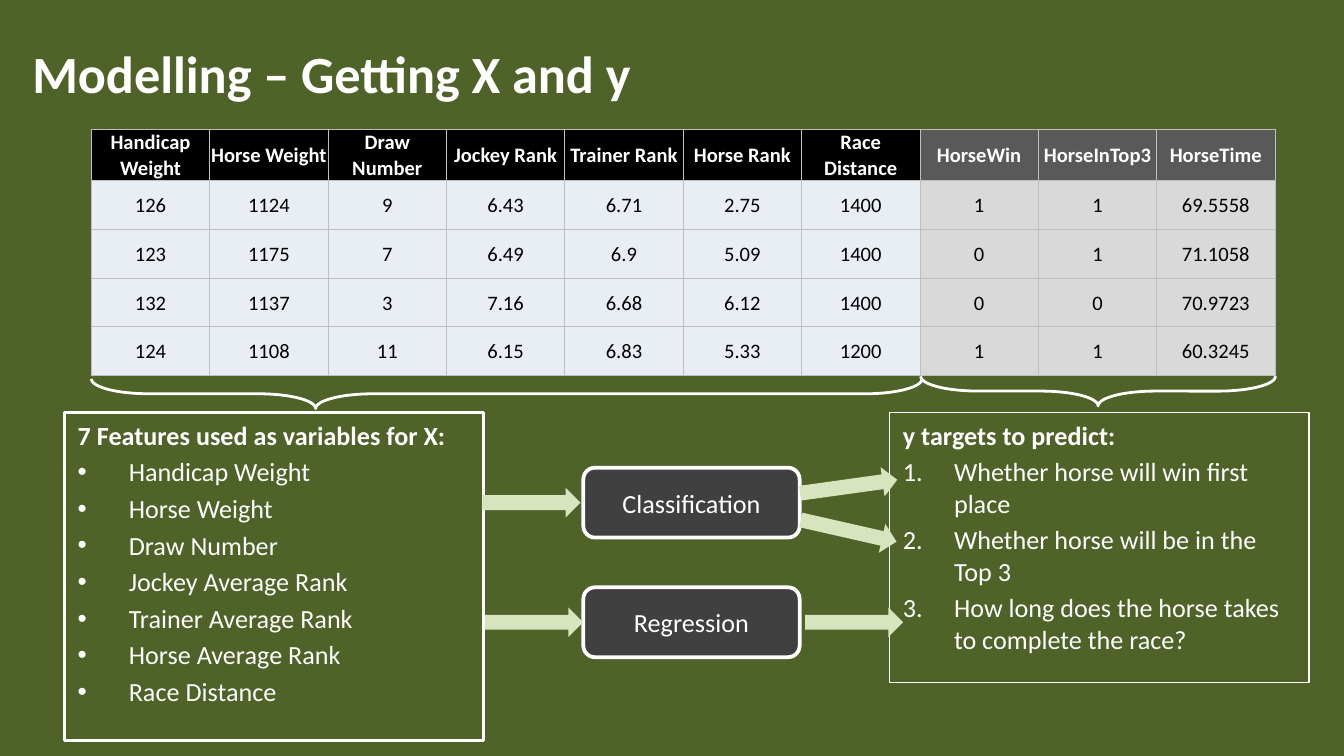
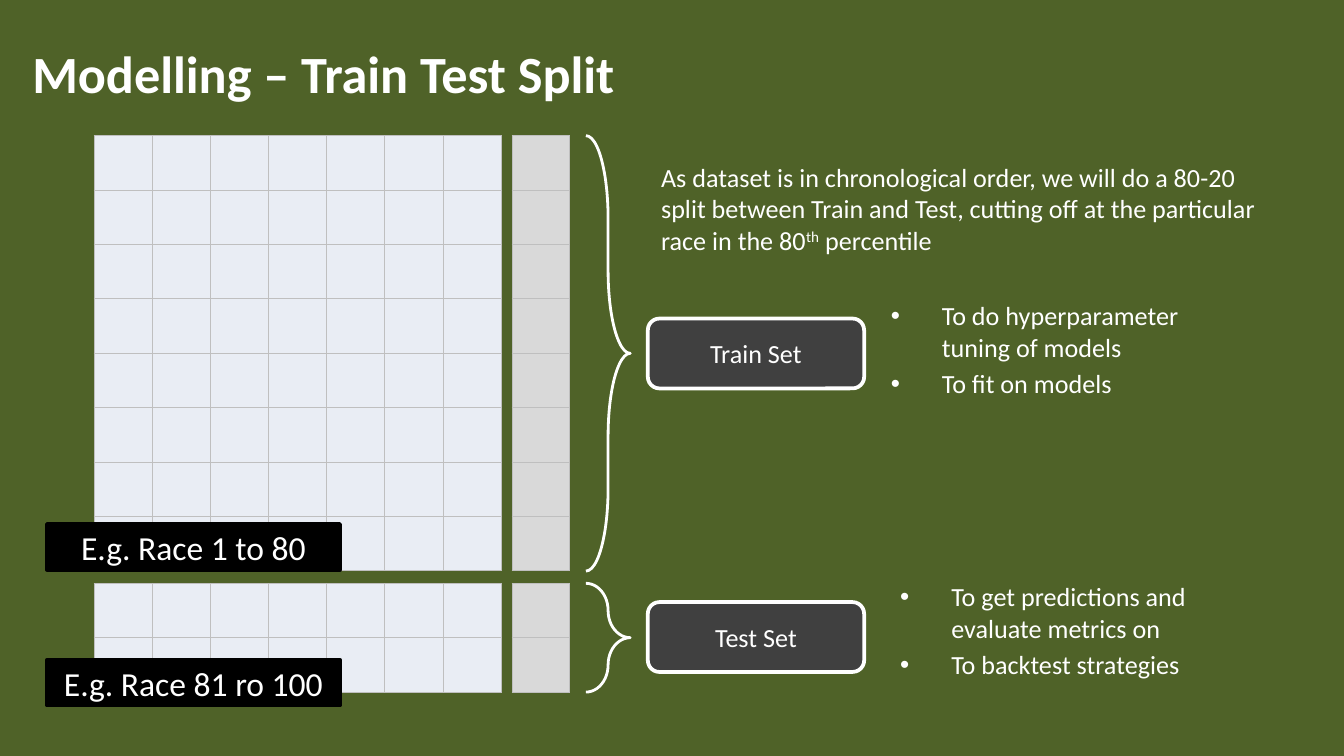
from lxml import etree
from pptx import Presentation
from pptx import util as u
from pptx.dml.color import RGBColor
from pptx.enum import shapes, text
from pptx.oxml import ns

EMU_PER_PX = 9144  # 100 px to the inch
FONT = "Calibri"
WHITE = RGBColor(0xFF, 0xFF, 0xFF)
BLACK = RGBColor(0x00, 0x00, 0x00)
GREEN = RGBColor(0x4F, 0x62, 0x28)
PALE_GREEN = RGBColor(0xD7, 0xE4, 0xBD)
CHARCOAL = RGBColor(0x40, 0x40, 0x40)
TARGET_HEAD = RGBColor(0x59, 0x59, 0x59)
FEATURE_FILL = RGBColor(0xE9, 0xED, 0xF4)
TARGET_FILL = RGBColor(0xD9, 0xD9, 0xD9)
BORDER = RGBColor(0xBF, 0xBF, 0xBF)

FEATURE_COUNT = 7
HEADINGS = ["Handicap Weight", "Horse Weight", "Draw Number", "Jockey Rank",
            "Trainer Rank", "Horse Rank", "Race Distance",
            "HorseWin", "HorseInTop3", "HorseTime"]
RACES = [
    ["126", "1124", "9", "6.43", "6.71", "2.75", "1400", "1", "1", "69.5558"],
    ["123", "1175", "7", "6.49", "6.9", "5.09", "1400", "0", "1", "71.1058"],
    ["132", "1137", "3", "7.16", "6.68", "6.12", "1400", "0", "0", "70.9723"],
    ["124", "1108", "11", "6.15", "6.83", "5.33", "1200", "1", "1", "60.3245"],
]
FEATURES = ["Handicap Weight", "Horse Weight", "Draw Number", "Jockey Average Rank",
            "Trainer Average Rank", "Horse Average Rank", "Race Distance"]
TARGETS = ["Whether horse will win first place",
           "Whether horse will be in the Top 3",
           "How long does the horse takes to complete the race?"]


def px(*lengths):
    return [u.Emu(length * EMU_PER_PX) for length in lengths]


def add_text(paragraph, content, size=14, color=WHITE, bold=False, baseline=None):
    run = paragraph.add_run()
    run.text = content
    run.font.name = FONT
    run.font.size = u.Pt(size)
    run.font.bold = bold
    run.font.color.rgb = color
    if baseline:
        run._r.get_or_add_rPr().set("baseline", str(baseline))


def set_bullet(paragraph, numbered):
    properties = paragraph._p.get_or_add_pPr()
    indent = px(38)[0]
    properties.set("marL", str(indent))
    properties.set("indent", str(-indent))
    font = etree.SubElement(properties, ns.qn("a:buFont"))
    font.set("typeface", FONT if numbered else "Arial")
    if numbered:
        etree.SubElement(properties, ns.qn("a:buAutoNum")).set("type", "arabicPeriod")
    else:
        etree.SubElement(properties, ns.qn("a:buChar")).set("char", "•")


def add_list(frame, items, heading=None, numbered=False):
    frame.word_wrap = True
    frame.vertical_anchor = text.MSO_ANCHOR.TOP
    lines = ([heading] if heading else []) + items
    for index, line in enumerate(lines):
        paragraph = frame.add_paragraph() if index else frame.paragraphs[0]
        paragraph.alignment = text.PP_ALIGN.LEFT
        if index:
            paragraph.space_before = u.Pt(2.8)
        is_heading = line is heading
        if not is_heading:
            set_bullet(paragraph, numbered)
        add_text(paragraph, line, bold=is_heading)


def add_shape(slide, kind, box, fill=None, line=None, width=1.5, rotation=0):
    shape = slide.shapes.add_shape(kind, *px(*box))
    shape.shadow.inherit = False
    shape.rotation = rotation
    if fill is None:
        shape.fill.background()
    else:
        shape.fill.solid()
        shape.fill.fore_color.rgb = fill
    if line is None:
        shape.line.fill.background()
    else:
        shape.line.color.rgb = line
        shape.line.width = u.Pt(width)
    return shape


def add_label(slide, kind, box, content, fill, line, size):
    shape = add_shape(slide, kind, box, fill, line, width=2)
    shape.text_frame.word_wrap = True
    shape.text_frame.vertical_anchor = text.MSO_ANCHOR.MIDDLE
    paragraph = shape.text_frame.paragraphs[0]
    paragraph.alignment = text.PP_ALIGN.CENTER
    add_text(paragraph, content, size=size)


def add_step(slide, left, top, content):
    add_label(slide, shapes.MSO_SHAPE.ROUNDED_RECTANGLE, (left, top, 161, 52),
              content, CHARCOAL, WHITE, 14)


def add_race_label(slide, top, content):
    add_label(slide, shapes.MSO_SHAPE.RECTANGLE, (35, top, 218, 34),
              content, BLACK, BLACK, 18)


def add_panel(slide, box, width, heading, items, numbered=False):
    panel = add_shape(slide, shapes.MSO_SHAPE.RECTANGLE, box, line=WHITE, width=width)
    add_list(panel.text_frame, items, heading, numbered)


def add_brace(slide, box, curve, tip=0.5, rotation=0):
    """Draw a right brace; box is its frame before rotation."""
    brace = add_shape(slide, shapes.MSO_SHAPE.RIGHT_BRACE, box,
                      line=WHITE, rotation=rotation)
    brace.adjustments[0] = curve
    brace.adjustments[1] = tip


def add_arrow(slide, left, top, rotation=0):
    add_shape(slide, shapes.MSO_SHAPE.RIGHT_ARROW, (left, top, 73, 22),
              fill=PALE_GREEN, rotation=rotation)


def style_cell(cell, fill):
    cell.fill.solid()
    cell.fill.fore_color.rgb = fill
    cell.vertical_anchor = text.MSO_ANCHOR.MIDDLE
    cell.margin_left = cell.margin_right = cell.margin_top = u.Pt(0.6)
    cell.margin_bottom = 0
    properties = cell._tc.get_or_add_tcPr()
    for position, side in enumerate(("lnL", "lnR", "lnT", "lnB")):
        edge = etree.Element(ns.qn(f"a:{side}"), w=str(u.Pt(0.5)))
        solid = etree.SubElement(edge, ns.qn("a:solidFill"))
        etree.SubElement(solid, ns.qn("a:srgbClr"), val=str(BORDER))
        properties.insert(position, edge)


def add_grid(slide, box, rows, columns):
    frame = slide.shapes.add_table(rows, columns, *px(*box))
    frame.table.first_row = False
    frame.table.horz_banding = False
    return frame.table


def add_plain_grid(slide, box, rows, columns, fill):
    for cell in add_grid(slide, box, rows, columns).iter_cells():
        style_cell(cell, fill)


def add_race_table(slide):
    table = add_grid(slide, (68, 96, 881, 181), len(RACES) + 1, len(HEADINGS))
    for row, values in enumerate([HEADINGS] + RACES):
        is_head = row == 0
        for column, value in enumerate(values):
            if column < FEATURE_COUNT:
                fill = BLACK if is_head else FEATURE_FILL
            else:
                fill = TARGET_HEAD if is_head else TARGET_FILL
            cell = table.cell(row, column)
            style_cell(cell, fill)
            paragraph = cell.text_frame.paragraphs[0]
            paragraph.alignment = text.PP_ALIGN.CENTER
            add_text(paragraph, value, size=11,
                     color=WHITE if is_head else BLACK, bold=is_head)


def add_text_box(slide, box):
    frame = slide.shapes.add_textbox(*px(*box)).text_frame
    frame.word_wrap = True
    return frame


def add_titled_slide(presentation, content):
    slide = presentation.slides.add_slide(presentation.slide_layouts[5])
    slide.background.fill.solid()
    slide.background.fill.fore_color.rgb = GREEN
    title = slide.shapes.title
    title.left, title.top, title.width, title.height = px(14, 12, 902, 84)
    title.text_frame.vertical_anchor = text.MSO_ANCHOR.MIDDLE
    paragraph = title.text_frame.paragraphs[0]
    paragraph.alignment = text.PP_ALIGN.LEFT
    add_text(paragraph, content, size=28, bold=True)
    return slide


def build_variables_slide(presentation):
    slide = add_titled_slide(presentation, "Modelling – Getting X and y")
    add_panel(slide, (48, 307, 312, 244), 1.5,
              "7 Features used as variables for X:", FEATURES)
    add_step(slide, 434, 348, "Classification")
    add_step(slide, 434, 437, "Regression")
    add_race_table(slide)
    add_brace(slide, (366, -16, 22, 618), 1.95, tip=0.73, rotation=90)
    add_brace(slide, (806, 159, 22, 264), 1.95, rotation=90)
    add_panel(slide, (662, 307, 312, 201), 0.75,
              "y targets to predict:", TARGETS, numbered=True)
    for left, top, rotation in [(359, 363, 0), (361, 452, 0), (595, 351, 352.1),
                                (595, 384, 12.8), (599, 452, 0)]:
        add_arrow(slide, left, top, rotation)


def build_split_slide(presentation):
    slide = add_titled_slide(presentation, "Modelling – Train Test Split")
    paragraph = add_text_box(slide, (482, 115, 481, 94)).paragraphs[0]
    add_text(paragraph, "As dataset is in chronological order, we will do a 80-20 split "
                        "between Train and Test, cutting off at the particular race "
                        "in the 80")
    add_text(paragraph, "th", baseline=30000)
    add_text(paragraph, " percentile")

    for top, height, rows, step_top, step in [(101, 324, 8, 237, "Train Set"),
                                              (434, 81, 2, 448, "Test Set")]:
        add_plain_grid(slide, (70, top, 303, height), rows, FEATURE_COUNT, FEATURE_FILL)
        add_plain_grid(slide, (381, top, 43, height), rows, 1, TARGET_FILL)
        add_brace(slide, (436, top, 33, height), 1.87)
        add_step(slide, 482, step_top, step)

    add_list(add_text_box(slide, (660, 427, 256, 115)),
             ["To get predictions and evaluate metrics on", "To backtest strategies"])
    add_list(add_text_box(slide, (653, 218, 277, 94)),
             ["To do hyperparameter tuning of models", "To fit on models"])
    add_race_label(slide, 390, "E.g. Race 1 to 80")
    add_race_label(slide, 491, "E.g. Race 81 ro 100")


def main():
    presentation = Presentation()
    presentation.slide_width = px(1000)[0]
    presentation.slide_height = presentation.slide_width * 9 // 16
    build_variables_slide(presentation)
    build_split_slide(presentation)
    presentation.save("out.pptx")


if __name__ == "__main__":
    main()
